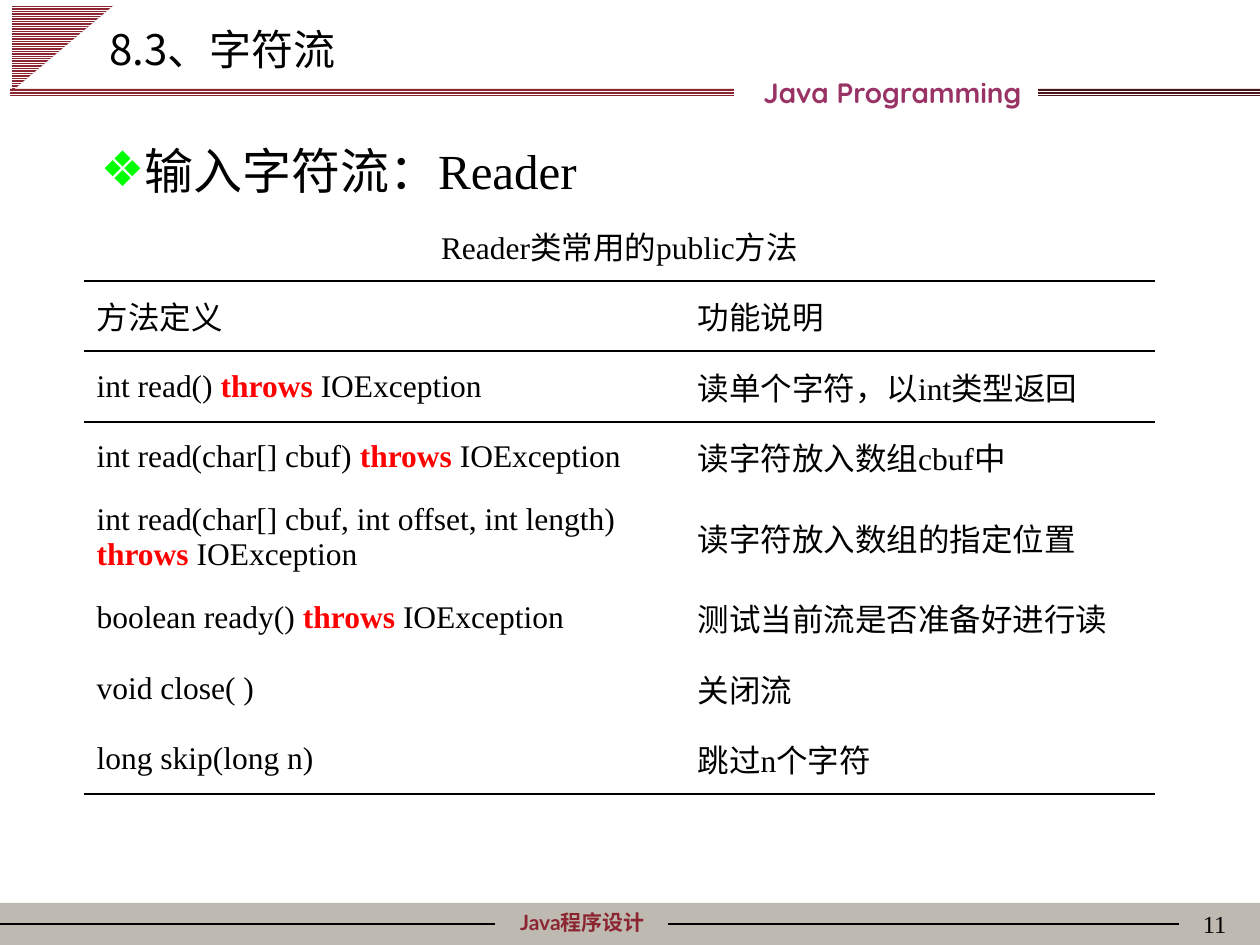
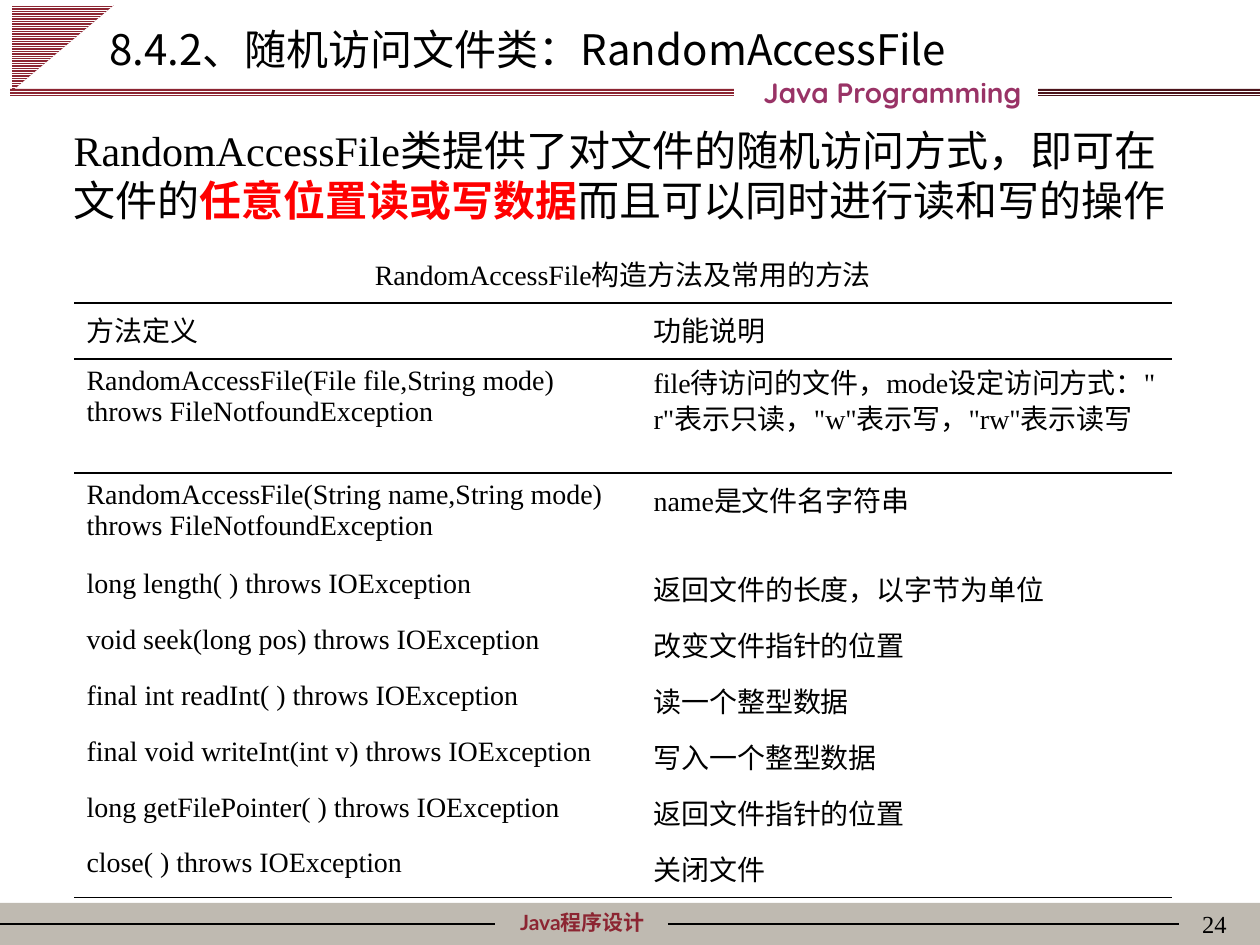
from dataclasses import dataclass

from lxml.etree import SubElement
from pptx import Presentation
from pptx.dml.color import RGBColor
from pptx.enum.dml import MSO_PATTERN
from pptx.enum.shapes import MSO_CONNECTOR, MSO_SHAPE
from pptx.enum.text import MSO_ANCHOR, MSO_AUTO_SIZE, PP_ALIGN
from pptx.oxml import parse_xml
from pptx.oxml.ns import nsdecls, qn
from pptx.util import Emu, Pt


@dataclass(frozen=True)
class Style:
    size: int
    font: str = "Times New Roman"
    color: str = "000000"
    bold: bool = False


@dataclass(frozen=True)
class Theme:
    band: str = "BFBAB1"
    wine: str = "8C2532"
    dark_wine: str = "4C141B"
    white: str = "FFFFFF"
    black: str = "000000"
    accent: str = "FF0000"
    bullet: str = "00FF00"
    east_asian: str = "Noto Sans CJK SC"
    plain_table: str = "{2D5ABB26-0587-4C30-8999-92F81FD0307C}"
    title: Style = Style(24, "Noto Sans CJK SC")
    list_item: Style = Style(28)
    lead: Style = Style(24)
    table_large: Style = Style(18)
    table_small: Style = Style(16)
    course: Style = Style(16, "Quicksand", "993366", True)
    footer: Style = Style(12, "Lato", "8C2532", True)
    number: Style = Style(14)


T = Theme()
SLIDE_BOX = (0, 0, 1260, 945)


def px(n):
    return Emu(round(n * 914400 / 126))


def place(s, box):
    s.left, s.top, s.width, s.height = map(px, box)


def rgb(color):
    return RGBColor.from_string(color)


def write(tf, text, style, align=PP_ALIGN.LEFT, accent=""):
    p = tf.paragraphs[0]
    p.alignment = align
    p.space_before = Pt(0)
    parts = text.partition(accent) if accent else (text,)
    for part in filter(None, parts):
        r = p.add_run()
        r.text = part
        marked = part == accent
        r.font.name = style.font
        r.font.size = Pt(style.size)
        r.font.bold = style.bold or marked
        r.font.color.rgb = rgb(T.accent if marked else style.color)
        SubElement(r.font._element, qn("a:ea"), typeface=T.east_asian)
    return p


def setup_frame(s, anchor=MSO_ANCHOR.TOP):
    tf = s.text_frame
    tf.auto_size = MSO_AUTO_SIZE.NONE
    tf.word_wrap = True
    tf.vertical_anchor = anchor
    return tf


def add_label(slide, box, text, style, align):
    s = slide.shapes.add_textbox(*map(px, box))
    write(setup_frame(s), text, style, align)


def add_block(slide, box, color, shape=MSO_SHAPE.RECTANGLE, striped=True):
    s = slide.shapes.add_shape(shape, *map(px, box))
    s.shadow.inherit = False
    s.line.fill.background()
    if striped:
        s.fill.patterned()
        s.fill.pattern = MSO_PATTERN.LIGHT_HORIZONTAL
        s.fill.fore_color.rgb = rgb(T.white)
        s.fill.back_color.rgb = rgb(color)
    else:
        s.fill.solid()
        s.fill.fore_color.rgb = rgb(color)
    return s


def add_rule(slide, x1, x2, y):
    s = slide.shapes.add_connector(MSO_CONNECTOR.STRAIGHT, px(x1), px(y), px(x2), px(y))
    s.line.color.rgb = rgb(T.black)
    s.line.width = Pt(0.75)
    SubElement(s._element.spPr, qn("a:effectLst"))


def add_header(slide, box, title):
    x, y, w, h = box
    corner = add_block(slide, (x + 20, y - 3, 86, 102), T.wine, MSO_SHAPE.RIGHT_TRIANGLE)
    corner.rotation = 90
    add_block(slide, (x + w - 222, y + 89, 222, 8), T.dark_wine)
    add_block(slide, (x + 10, y + 89, 724, 7), T.wine)
    add_label(slide, (x + 640, y + 69, 505, 47), "Java Programming", T.course, PP_ALIGN.CENTER)
    s = slide.shapes.title
    place(s, (x + 97, y + 17, 1071, 63))
    write(setup_frame(s), title, T.title)


def add_footer(slide, box, number):
    x, y, w, h = box
    add_block(slide, box, T.band, striped=False)
    add_label(slide, (x + 456, y, 253, 38), "Java程序设计", T.footer, PP_ALIGN.CENTER)
    add_rule(slide, x, x + 495, y + 21)
    add_rule(slide, x + 668, x + 1179, y + 21)
    add_label(slide, (x + 977, y, 262, 63), str(number), T.number, PP_ALIGN.RIGHT)


def add_list_item(slide, box, text):
    s = slide.placeholders[1]
    place(s, box)
    p = write(setup_frame(s), text, T.list_item)
    pPr = p._p.get_or_add_pPr()
    pPr.set("marL", str(px(44)))
    pPr.set("indent", str(-px(44)))
    color = SubElement(pPr, qn("a:buClr"))
    SubElement(color, qn("a:srgbClr"), val=T.bullet)
    SubElement(pPr, qn("a:buChar"), char="❖")


def add_lead(slide, box, text, accent):
    s = slide.placeholders[1]
    place(s, box)
    p = write(setup_frame(s, MSO_ANCHOR.MIDDLE), text, T.lead, accent=accent)
    p.line_spacing = 1.0
    pPr = p._p.get_or_add_pPr()
    pPr.set("marL", "0")
    pPr.set("indent", "0")
    SubElement(pPr, qn("a:buNone"))


def add_border(cell, side):
    cell._tc.get_or_add_tcPr().insert(0, parse_xml(
        f'<a:{side} {nsdecls("a")} w="12700"><a:solidFill>'
        f'<a:srgbClr val="{T.black}"/></a:solidFill></a:{side}>'))


def add_method_table(slide, box, caption, methods, cols, heights, style, anchor, accent=""):
    rows = [(caption, ""), ("方法定义", "功能说明"), *methods]
    last = len(rows) - 1
    tbl = slide.shapes.add_table(len(rows), 2, *map(px, box)).table
    tbl.first_row = tbl.horz_banding = False
    tbl._tbl.tblPr.find(qn("a:tableStyleId")).text = T.plain_table
    for col, width in zip(tbl.columns, cols):
        col.width = px(width)
    for i, (row, height, texts) in enumerate(zip(tbl.rows, heights, rows)):
        row.height = px(height)
        align = PP_ALIGN.LEFT if i else PP_ALIGN.CENTER
        for cell, text in zip(row.cells, texts):
            cell.fill.background()
            cell.vertical_anchor = anchor
            write(cell.text_frame, text, style, align, accent)
            if i in (0, 1, last):
                add_border(cell, "lnB")
            if i in (1, 2):
                add_border(cell, "lnT")
    tbl.cell(0, 0).merge(tbl.cell(0, 1))
    return tbl


def tighten(cell):
    cell.margin_bottom = 0
    cell.text_frame.paragraphs[0].line_spacing = 0.88


def add_page(prs, title, number):
    slide = prs.slides.add_slide(prs.slide_layouts[1])
    x, y, w, h = SLIDE_BOX
    add_footer(slide, (x, y + h - 42, w, 42), number)
    add_header(slide, (x, y, w, 116), title)
    return slide


def reader_slide(prs):
    slide = add_page(prs, "8.3、字符流", 11)
    add_list_item(slide, (88, 134, 677, 72), "输入字符流：Reader")
    methods = [
        ("int read() throws IOException", "读单个字符，以int类型返回"),
        ("int read(char[] cbuf) throws IOException", "读字符放入数组cbuf中"),
        ("int read(char[] cbuf, int offset, int length) throws IOException",
         "读字符放入数组的指定位置"),
        ("boolean ready() throws IOException", "测试当前流是否准备好进行读"),
        ("void close( )", "关闭流"),
        ("long skip(long n)", "跳过n个字符"),
    ]
    add_method_table(slide, (84, 210, 1071, 584), "Reader类常用的public方法", methods,
                     (601, 470), [71, 70] * 2 + [91, 70, 71, 70],
                     T.table_large, MSO_ANCHOR.MIDDLE, "throws")


def random_access_slide(prs):
    slide = add_page(prs, "8.4.2、随机访问文件类：RandomAccessFile", 24)
    add_lead(slide, (61, 118, 1139, 113),
             "RandomAccessFile类提供了对文件的随机访问方式，即可在文件的"
             "任意位置读或写数据而且可以同时进行读和写的操作", "任意位置读或写数据")
    methods = [
        ("RandomAccessFile(File file,String mode) throws FileNotfoundException",
         'file待访问的文件，mode设定访问方式：" r"表示只读，"w"表示写，"rw"表示读写'),
        ("RandomAccessFile(String name,String mode) throws FileNotfoundException",
         "name是文件名字符串"),
        ("long length( ) throws IOException", "返回文件的长度，以字节为单位"),
        ("void seek(long pos) throws IOException", "改变文件指针的位置"),
        ("final int readInt( ) throws IOException", "读一个整型数据"),
        ("final void writeInt(int v) throws IOException", "写入一个整型数据"),
        ("long getFilePointer( ) throws IOException", "返回文件指针的位置"),
        ("close( ) throws IOException", "关闭文件"),
    ]
    tbl = add_method_table(slide, (74, 247, 1098, 651),
                           "RandomAccessFile构造方法及常用的方法", methods,
                           (567, 531), [56, 56, 114, 89] + [56] * 6,
                           T.table_small, MSO_ANCHOR.TOP)
    tighten(tbl.cell(2, 1))


def main():
    prs = Presentation()
    prs.slide_width, prs.slide_height = map(px, SLIDE_BOX[2:])
    reader_slide(prs)
    random_access_slide(prs)
    prs.save("out.pptx")


if __name__ == "__main__":
    main()
